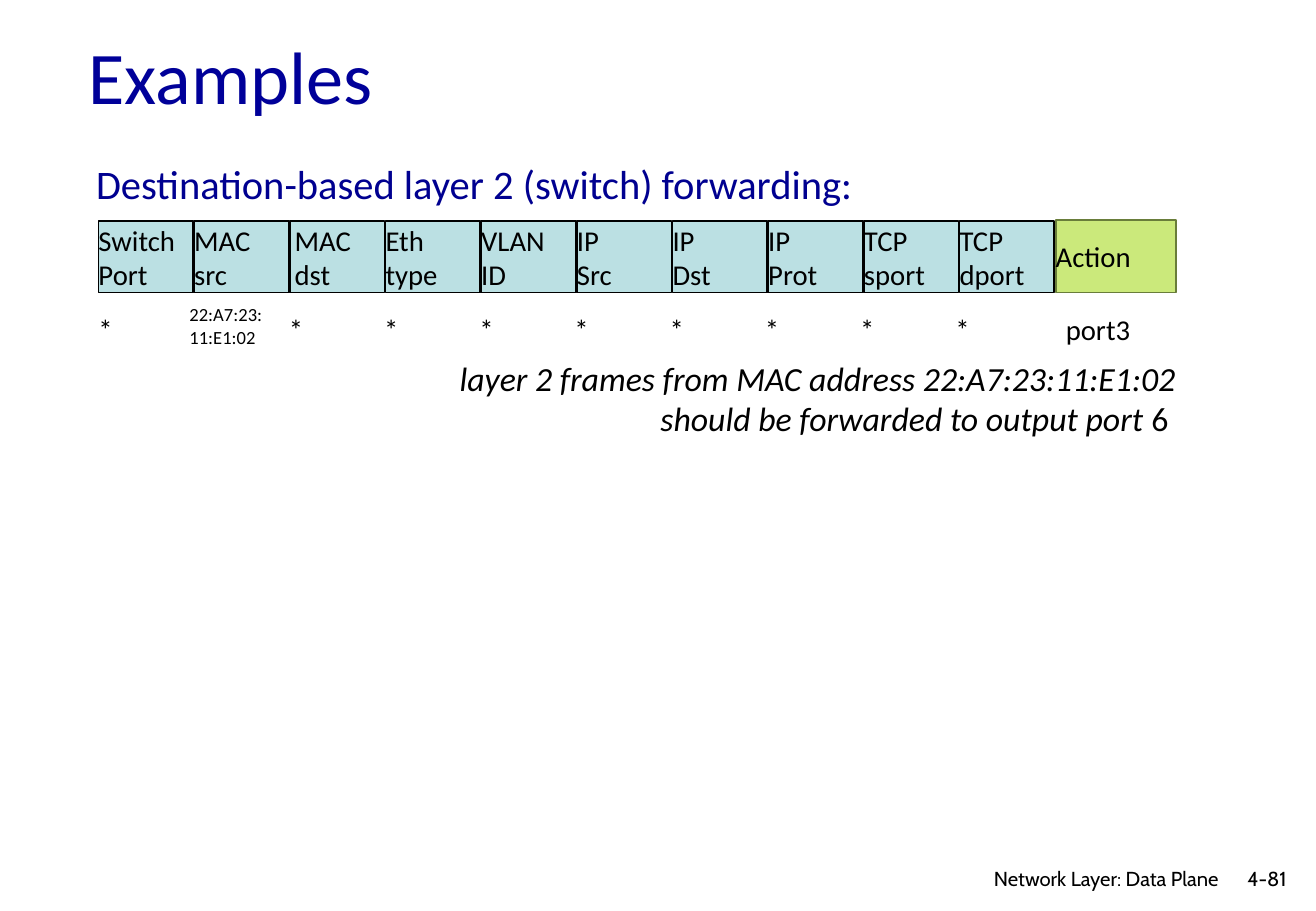
from pptx import Presentation
from pptx import util as u
from pptx.dml import color
from pptx.enum import shapes, text

BLACK = "000000"
MIDDLE = text.MSO_ANCHOR.MIDDLE
LEFT, RIGHT = text.PP_ALIGN.LEFT, text.PP_ALIGN.RIGHT


def rgb(value):
    return color.RGBColor.from_string(value)


def add_span(para, words, size=17, font="Calibri", ink=BLACK, italic=False):
    span = para.add_run()
    span.text = words
    span.font.size = u.Pt(size)
    span.font.name = font
    span.font.italic = italic
    span.font.color.rgb = rgb(ink)


class Page:
    """One slide with its text and cell styles; lengths in centimetres."""

    def __init__(self, deck):
        self.slide = deck.slides.add_slide(deck.slide_layouts[5])

    def fill_frame(self, frame, lines, inset=(0, 0, 0, 0), align=LEFT,
                   anchor=MIDDLE, wrap=True, **style):
        frame.auto_size = text.MSO_AUTO_SIZE.NONE
        frame.word_wrap = wrap
        frame.vertical_anchor = anchor
        (frame.margin_left, frame.margin_top,
         frame.margin_right, frame.margin_bottom) = map(u.Cm, inset)
        for index, line in enumerate(lines):
            para = frame.add_paragraph() if index else frame.paragraphs[0]
            para.alignment = align
            add_span(para, line, **style)
        return frame

    def title(self, words, place, **style):
        title = self.slide.shapes.title
        title.left, title.top, title.width, title.height = map(u.Cm, place)
        self.fill_frame(title.text_frame, [words], **style)

    def label(self, lines, place, **style):
        box = self.slide.shapes.add_textbox(*map(u.Cm, place))
        return self.fill_frame(box.text_frame, lines, **style)

    def cell(self, lines, place, fill, line, **style):
        box = self.slide.shapes.add_shape(
            shapes.MSO_SHAPE.RECTANGLE, *map(u.Cm, place))
        box.shadow.inherit = False
        box.fill.solid()
        box.fill.fore_color.rgb = rgb(fill)
        box.line.color.rgb = rgb(line)
        box.line.width = u.Pt(1)
        self.fill_frame(box.text_frame, lines, **style)


def main():
    deck = Presentation()
    deck.slide_width, deck.slide_height = u.Cm(27.51), u.Cm(19.05)
    page = Page(deck)
    padding = (0.25, 0.13, 0.25, 0.13)

    # Headings
    page.title("Examples", (1.6, -0.03, 8.46, 3.18), inset=padding,
               size=44, ink="000099")
    page.label(["Destination-based layer 2 (switch) forwarding:"],
               (2.01, 3.33, 15.95, 1.02), wrap=False, size=24, ink="000090")

    # Header row of match fields and the action
    fields = ["Switch Port", "MAC src", "MAC dst", "Eth type", "VLAN ID",
              "IP Src", "IP Dst", "IP Prot", "TCP sport", "TCP dport"]
    left, pitch = 2.06, 2
    for column, field in enumerate(fields):
        indent = 0.1 if field == "MAC dst" else 0
        page.cell(field.split(), (left + column * pitch, 4.62, 1.98, 1.5),
                  "BBE0E3", BLACK, inset=(indent, 0, 0, 0))
    page.cell(["Action"], (22.07, 4.6, 2.51, 1.52), "CBE97B", "697D3A")

    # Rule row: any value except for the MAC source
    for column, field in enumerate(fields):
        if field == "MAC src":
            page.label(["22:A7:23:", "11:E1:02"], (3.96, 6.38, 1.98, 0.86),
                       size=11)
        else:
            page.label(["*"], (left + column * 1.99, 6.43, 1.98, 0.89))
    page.label(["port3"], (22.28, 6.43, 1.98, 0.89))

    # Explanation
    frame = page.label(["layer 2 frames from MAC address 22:A7:23:11:E1:02 "
                        "should be forwarded to output port "],
                       (8.46, 7.47, 16.13, 1.7), align=RIGHT,
                       size=20, italic=True)
    add_span(frame.paragraphs[0], "6 ", size=20)

    # Footer
    footer = dict(inset=padding, align=RIGHT, size=12, font="Cabin")
    page.label(["Network Layer: Data Plane"], (19.18, 17.98, 6.55, 0.66),
               anchor=text.MSO_ANCHOR.TOP, **footer)
    page.label(["4-81"], (25.45, 17.98, 1.7, 0.76), **footer)

    deck.save("out.pptx")


if __name__ == "__main__":
    main()
